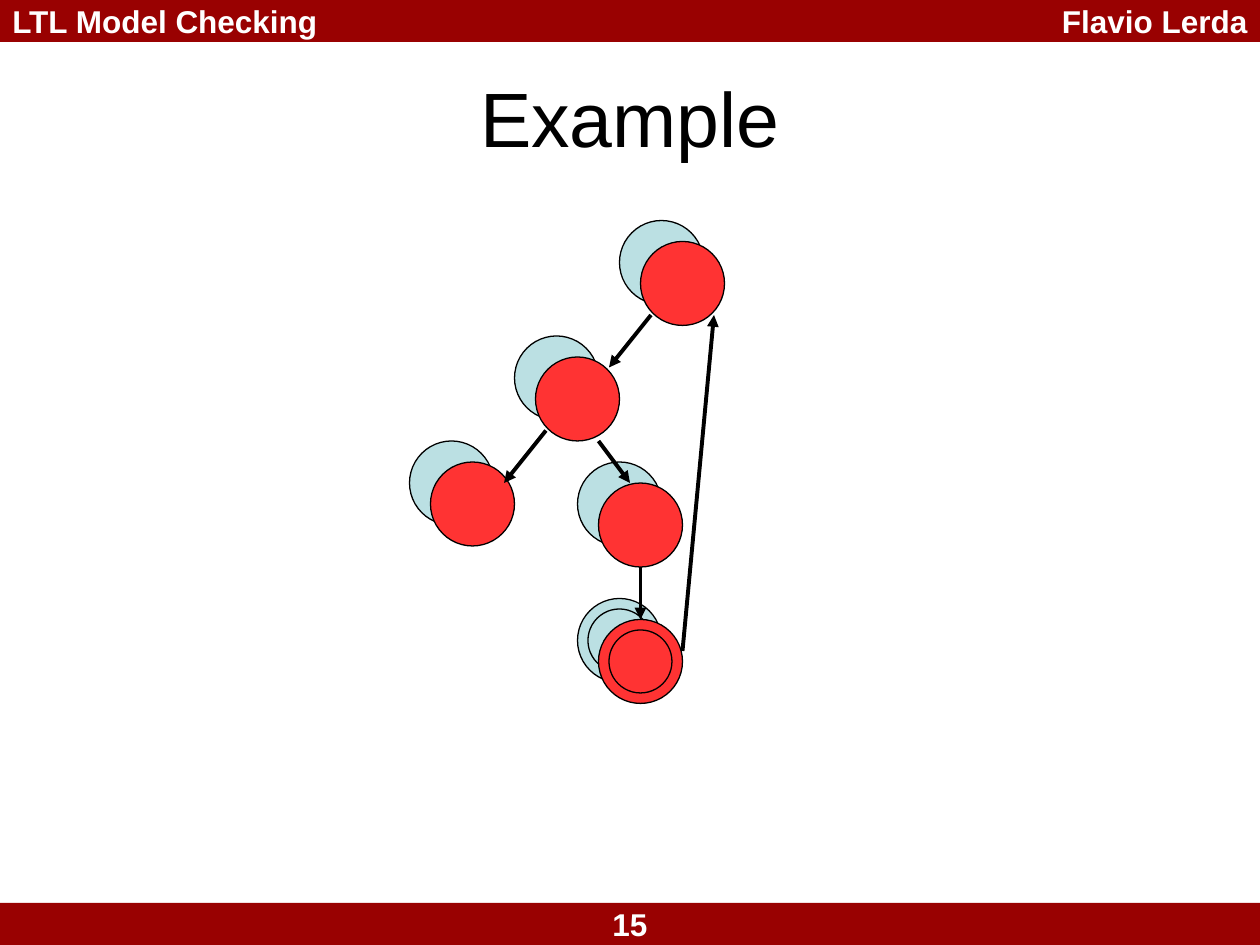
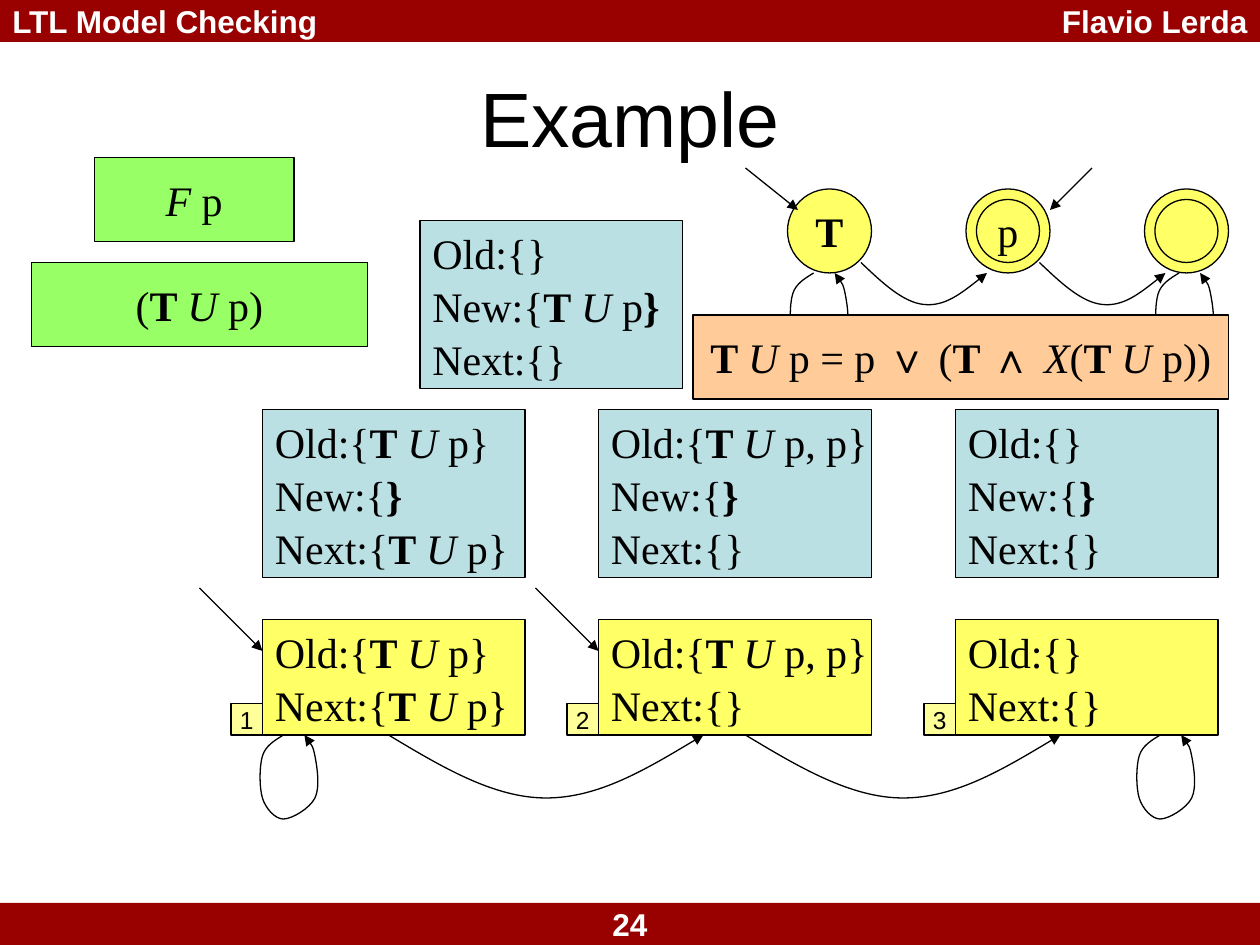
from dataclasses import dataclass

from lxml import etree
from pptx import Presentation
from pptx.dml.color import RGBColor
from pptx.enum.shapes import MSO_CONNECTOR, MSO_SHAPE
from pptx.enum.text import MSO_ANCHOR, PP_ALIGN
from pptx.oxml.ns import qn
from pptx.util import Cm, Pt

RECTANGLE, OVAL = MSO_SHAPE.RECTANGLE, MSO_SHAPE.OVAL
LEFT, CENTER, RIGHT = PP_ALIGN.LEFT, PP_ALIGN.CENTER, PP_ALIGN.RIGHT
MIDDLE = MSO_ANCHOR.MIDDLE
STRAIGHT = MSO_CONNECTOR.STRAIGHT

# The slide is a grid of 120 x 90 square cells; positions are counted in cells
WIDTH, HEIGHT = Cm(25.4), Cm(19.05)
CELL = WIDTH // 120


@dataclass(frozen=True)
class Theme:
    band: str = "990101"
    white: str = "FFFFFF"
    ink: str = "000000"
    blue: str = "BBE0E3"
    red: str = "FF3333"
    green: str = "99FF66"
    yellow: str = "FFFF66"
    pale: str = "FFFF99"
    orange: str = "FFCC99"
    sans: str = "Arial"
    serif: str = "Times New Roman"
    title_size: int = 44
    text_size: int = 24
    band_size: int = 18
    label_size: int = 14
    thin: float = 0.75
    thick: float = 2.25


theme = Theme()


def add_box(page, kind, at, fill=None, lines=(), size=theme.text_size, font=theme.serif,
            color=theme.ink, bold=None, align=CENTER, outline=True, spacing=None):
    """Draw a shape; each line is a list of (text, style), style being b, i, s (sans) or empty."""
    box = page.shapes.add_shape(kind, *(round(value * CELL) for value in at))
    box.shadow.inherit = False
    if fill:
        box.fill.solid()
        box.fill.fore_color.rgb = RGBColor.from_string(fill)
    else:
        box.fill.background()
    if outline:
        box.line.color.rgb = RGBColor.from_string(theme.ink)
        box.line.width = Pt(theme.thin)
    else:
        box.line.fill.background()
    frame = box.text_frame
    frame.word_wrap = False
    frame.vertical_anchor = MIDDLE
    for index, line in enumerate(lines):
        para = frame.add_paragraph() if index else frame.paragraphs[0]
        para.alignment = align
        para.line_spacing = spacing
        para.font.name, para.font.size, para.font.bold = font, Pt(size), bold
        para.font.color.rgb = RGBColor.from_string(color)
        for text, style in line:
            span = para.add_run()
            span.text = text
            if style == "b":
                span.font.bold = True
            elif style == "i":
                span.font.italic = True
            elif style == "s":
                span.font.name = theme.sans


def add_arrow(page, points, weight=theme.thin):
    """Draw a straight arrow through two points, or a curved one through Bezier points."""
    points = [(round(x * CELL), round(y * CELL)) for x, y in points]
    if len(points) == 2:
        arrow = page.shapes.add_connector(STRAIGHT, *points[0], *points[1])
    else:
        builder = page.shapes.build_freeform(*points[0])
        builder.add_line_segments(points[1:], close=False)
        arrow = builder.convert_to_shape()
        arrow.fill.background()
        # Turn every three line segments into one cubic curve
        segments = list(arrow.element.iter(qn("a:lnTo")))
        for first in range(0, len(segments), 3):
            curve = etree.SubElement(segments[first].getparent(), qn("a:cubicBezTo"))
            for segment in segments[first:first + 3]:
                curve.append(segment[0])
                segment.getparent().remove(segment)
    arrow.line.color.rgb = RGBColor.from_string(theme.ink)
    arrow.line.width = Pt(weight)
    etree.SubElement(arrow.line._get_or_add_ln(), qn("a:tailEnd"), type="triangle")
    etree.SubElement(arrow.element.spPr, qn("a:effectLst"))


deck = Presentation()
deck.slide_width, deck.slide_height = WIDTH, HEIGHT

# Bands and title shared by both slides
pages = []
for number in ("15", "24"):
    page = deck.slides.add_slide(deck.slide_layouts[6])
    for top, fill, text, align in ((0, theme.band, "Flavio Lerda", RIGHT),
                                   (86, theme.band, number, CENTER),
                                   (0, None, "LTL Model Checking", LEFT)):
        add_box(page, RECTANGLE, (0, top, 120, 4), fill, [[(text, "")]], theme.band_size,
                theme.sans, theme.white, True, align, outline=False)
    add_box(page, RECTANGLE, (6, 3.6, 108, 15), None, [[("Example", "")]],
            theme.title_size, theme.sans, outline=False)
    pages.append(page)
search_page, automaton_page = pages

# Search tree: a blue circle behind each red one, the accepting state ringed
states = [(41, 44), (51, 34), (57, 46), (57, 59), (61, 23)]
accept_x, accept_y = states[3]
for x, y in states:
    add_box(search_page, OVAL, (x - 2, y - 2, 8, 8), theme.blue)
add_box(search_page, OVAL, (accept_x - 1, accept_y - 1, 6, 6), theme.blue)
for x, y in states:
    add_box(search_page, OVAL, (x, y, 8, 8), theme.red)
for ends in (((65, 62), (68, 30)), ((62, 30), (58, 35)), ((52, 41), (48, 46)),
             ((57, 42), (60, 46)), ((61, 54), (61, 59))):
    add_arrow(search_page, ends, theme.thick)
add_box(search_page, OVAL, (accept_x + 1, accept_y + 1, 6, 6), theme.red)

# Formula and its rewritten form
until = [("T ", "b"), ("U", "i"), (" p", "")]
page = automaton_page
add_box(page, RECTANGLE, (9, 15, 19, 8), theme.green, [[("F", "i"), (" p", "")]])
add_box(page, RECTANGLE, (3, 25, 32, 8), theme.green, [[("(", ""), *until, (")", "")]])

# Nodes: the starting one, then three expanded ones with their finished states
empty_old, empty_next = [("Old:{}", "")], [("Next:{}", "")]
empty_new = [("New:{", ""), ("}", "b")]
node_style = {"align": LEFT, "spacing": 1.05}
add_box(page, RECTANGLE, (40, 21, 25, 16), theme.blue,
        [empty_old, [("New:{", ""), *until, ("}", "b")], empty_next], **node_style)
nodes = [
    (25, 25, [("Old:{", ""), *until, ("}", "")], [("Next:{", ""), *until, ("}", "")]),
    (57, 26, [("Old:{", ""), *until, (", p}", "")], empty_next),
    (91, 25, empty_old, empty_next),
]
for label, (left, width, old, following) in enumerate(nodes, start=1):
    add_box(page, RECTANGLE, (left, 39, width, 16), theme.blue,
            [old, empty_new, following], **node_style)
    add_box(page, RECTANGLE, (left, 59, width, 11), theme.yellow,
            [old, following], **node_style)
    add_box(page, RECTANGLE, (left - 3, 67, 3, 3), theme.pale, [[(str(label), "")]],
            theme.label_size, theme.sans)

# Automaton circles, the accepting ones with an inner ring
for left, text, style, accepting in ((75, "T", "b", False), (92, "p", "", True),
                                     (109, "", "", True)):
    label = [[(text, style)]] if text else []
    add_box(page, OVAL, (left, 18, 8, 8), theme.yellow, [] if accepting else label)
    if accepting:
        add_box(page, OVAL, (left + 1, 19, 6, 6), theme.yellow, label)

# Arrows into the initial states
for ends in (((19, 56), (25, 62)), ((51, 56), (57, 62)),
             ((71, 16), (76, 20)), ((104, 16), (100, 20))):
    add_arrow(page, ends)

# Curved transitions, each curve placed at several starting points
wide_arc = [(0, 0), (5, 3), (10, 6), (15, 6), (20, 6), (25, 3), (30, 0)]
small_arc = [(0, 0), (2, 1.9), (4, 3.8), (6, 4), (8, 4.2), (10, 2.6), (12, 1)]
self_loop = [(0, 0), (-0.8, 0.5), (-1.7, 1), (-2, 2), (-2.3, 3), (-2.3, 5), (-2, 6),
             (-1.7, 7), (-0.8, 8), (0, 8), (0.8, 8), (2.5, 7), (3, 6),
             (3.5, 5), (3.2, 3), (3, 2), (2.8, 1), (2.4, 0.5), (2, 0)]
for curve, starts in ((wide_arc, [(37, 70), (71, 70)]),
                      (small_arc, [(82, 25), (99, 25)]),
                      (self_loop, [(27, 70), (110.5, 70), (77.5, 26), (112.3, 26)])):
    for x, y in starts:
        add_arrow(page, [(x + dx, y + dy) for dx, dy in curve])

# Expansion rule, covering the lower part of the upper loops
add_box(page, RECTANGLE, (66, 30, 51, 8), theme.orange,
        [[*until, (" = p ", ""), ("∨", "s"), (" (", ""), ("T ", "b"), ("∧ ", "s"),
          ("X", "i"), ("(", ""), *until, ("))", "")]])

deck.save("out.pptx")
